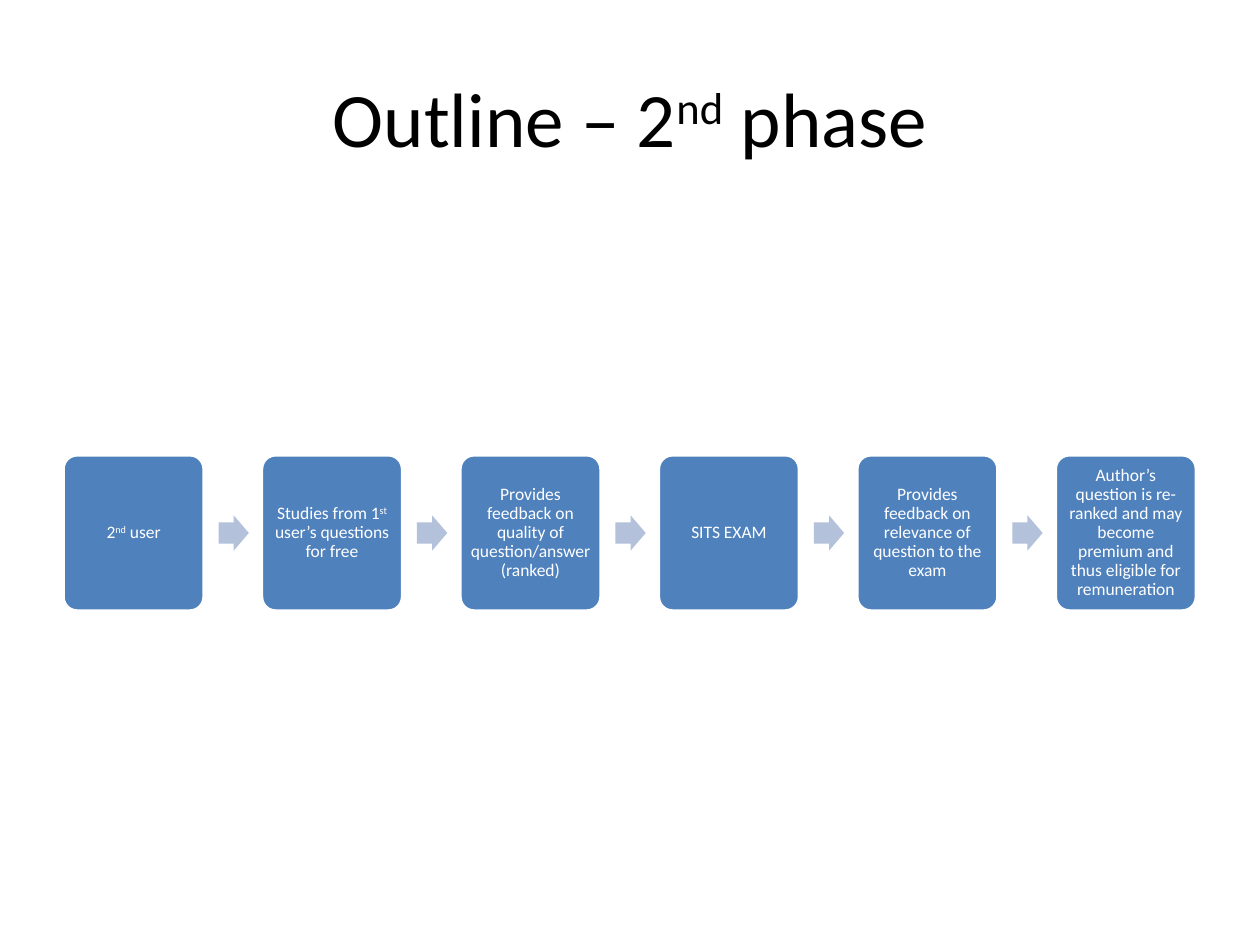
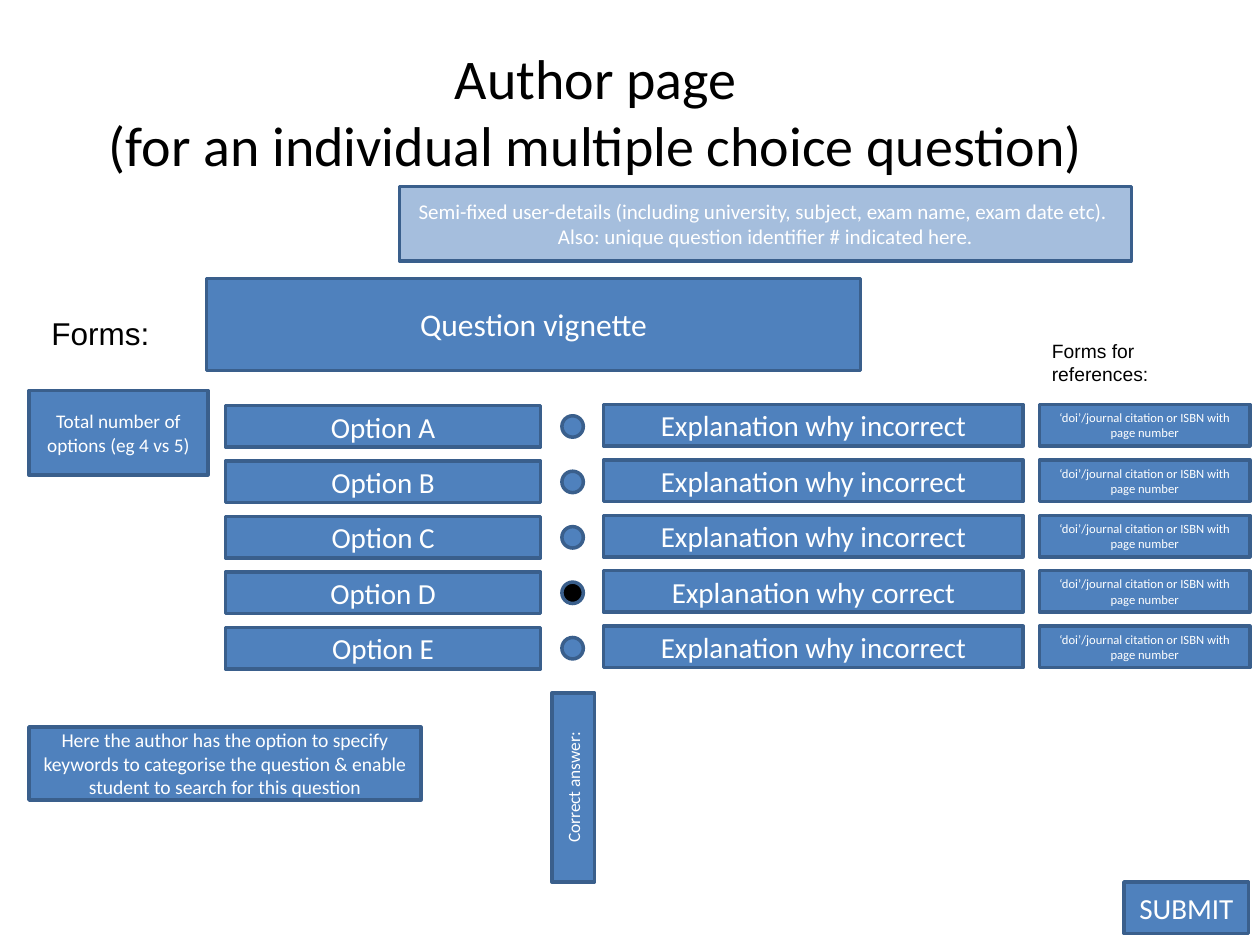
"""Builds two slides: a process outline and a mock-up of a question form."""
import pptx
import pptx.dml.color
import pptx.enum.shapes
import pptx.enum.text
import pptx.oxml
import pptx.oxml.ns
import pptx.util

Inches = pptx.util.Inches
Pt = pptx.util.Pt
SHAPE = pptx.enum.shapes.MSO_SHAPE
ALIGN = pptx.enum.text.PP_ALIGN
ANCHOR = pptx.enum.text.MSO_ANCHOR

BLUE, DARK_BLUE, PALE_BLUE = "4F81BD", "3A5F8C", "B3C1DB"
WHITE, BLACK = "FFFFFF", "000000"
FORM_SIZE = 16.6
ROW_TOP, ROW_PITCH, ROW_HEIGHT = 3.21, 0.44, 0.33

STEPS = [
    "2^nd^ user",
    "Studies from 1^st^ user’s questions for free",
    "Provides feedback on quality of question/answer (ranked)",
    "SITS EXAM",
    "Provides feedback on relevance of question to the exam",
    "Author’s question is re-ranked and may become premium and thus "
    "eligible for remuneration",
]


def rgb(hex_colour):
    """Turn a hex string into a colour."""
    return pptx.dml.color.RGBColor.from_string(hex_colour)


def write(tf, paragraphs, size, colour, align=ALIGN.CENTER, font="Calibri"):
    """Fill a text frame; text between carets is superscript."""
    tf.word_wrap = True
    for i, text in enumerate(paragraphs):
        p = tf.paragraphs[0] if i == 0 else tf.add_paragraph()
        p.alignment = align
        p.font.size = Pt(size)
        p.font.name = font
        p.font.color.rgb = rgb(colour)
        if "^" not in text:
            p.text = text
            continue
        for j, part in enumerate(text.split("^")):
            r = p.add_run()
            r.text = part
            if j % 2:
                r._r.get_or_add_rPr().set("baseline", "30000")


def add_title_slide(prs, title, box, size):
    """Add a slide with a centred title in the given box."""
    s = prs.slides.add_slide(prs.slide_layouts[5])
    sp = s.shapes.title
    sp.left, sp.top, sp.width, sp.height = map(Inches, box)
    write(sp.text_frame, [title], size, BLACK)
    sp.text_frame.vertical_anchor = ANCHOR.MIDDLE
    return s


def add_shape(s, kind, box, fill=BLUE, line=None):
    """Add a flat preset shape, with an outline if a line colour is given."""
    sp = s.shapes.add_shape(kind, *map(Inches, box))
    sp.shadow.inherit = False
    sp.fill.solid()
    sp.fill.fore_color.rgb = rgb(fill)
    if line:
        sp.line.color.rgb = rgb(line)
        sp.line.width = Pt(2)
    else:
        sp.line.fill.background()
    return sp


def add_field(s, box, paragraphs, size=FORM_SIZE):
    """Add an outlined form field with centred white text."""
    sp = add_shape(s, SHAPE.RECTANGLE, box, line=DARK_BLUE)
    write(sp.text_frame, paragraphs, size, WHITE)
    sp.text_frame.vertical_anchor = ANCHOR.MIDDLE
    return sp


def add_label(s, box, text, size):
    """Add a plain black label."""
    sp = s.shapes.add_textbox(*map(Inches, box))
    write(sp.text_frame, [text], size, BLACK, ALIGN.LEFT, "Arial")


def set_opacity(sp, percent):
    """Make a solid fill partly transparent."""
    colour = sp.fill._xPr.find(".//" + pptx.oxml.ns.qn("a:srgbClr"))
    alpha = pptx.oxml.parse_xml(
        "<a:alpha %s val='%d'/>" % (pptx.oxml.ns.nsdecls("a"), percent * 1000))
    colour.append(alpha)


def add_step(s, left, text):
    """Add one rounded step of the process."""
    sp = add_shape(s, SHAPE.ROUNDED_RECTANGLE, (left, 3.61, 1.12, 1.24), line=WHITE)
    sp.adjustments[0] = 0.1
    tf = sp.text_frame
    tf.margin_left = tf.margin_right = Inches(0.04)
    tf.margin_top = tf.margin_bottom = Inches(0.04)
    tf.vertical_anchor = ANCHOR.MIDDLE
    write(tf, [text], 10, WHITE)
    tf.paragraphs[0].line_spacing = 0.9


def add_step_arrow(s, left):
    """Add the arrow between two steps."""
    sp = add_shape(s, SHAPE.RIGHT_ARROW, (left, 4.09, 0.24, 0.28), PALE_BLUE)
    sp.adjustments[0], sp.adjustments[1] = 0.6, 0.5


def add_option_row(s, index, letter, correct):
    """Add an answer option, its radio button, explanation and reference."""
    top = ROW_TOP + index * ROW_PITCH
    add_field(s, (1.79, top + 0.01, 2.5, ROW_HEIGHT), ["Option " + letter])
    add_shape(s, SHAPE.OVAL, (4.46, top + 0.09, 0.17, 0.17),
              BLACK if correct else BLUE, DARK_BLUE)
    verdict = "correct" if correct else "incorrect"
    add_field(s, (4.79, top, 3.33, ROW_HEIGHT), ["Explanation why " + verdict])
    add_field(s, (8.25, top, 1.67, ROW_HEIGHT),
              ["‘doi’/journal citation or ISBN with page number"], 7.2)


def build_outline(prs):
    """Build the process slide."""
    s = add_title_slide(prs, "Outline – 2^nd^ phase", (0.5, 0.3, 9, 1.25), 44)
    pitch = 1.575
    for i, text in enumerate(STEPS):
        left = 0.5 + i * pitch
        if i:
            add_step_arrow(s, left - 0.34)
        add_step(s, left, text)


def build_author_page(prs):
    """Build the form slide."""
    s = add_title_slide(
        prs, "Author page\v(for an individual multiple choice question)",
        (0.48, 0.25, 8.5, 1.25), 32)
    details = add_field(s, (3.17, 1.48, 5.81, 0.59), [
        "Semi-fixed user-details (including university, subject, exam name, "
        "exam date etc). ",
        "Also: unique question identifier # indicated here."], 12)
    set_opacity(details, 51)
    add_field(s, (1.64, 2.21, 5.19, 0.73), ["Question vignette"], 18)
    add_label(s, (0.31, 2.44, 1.08, 0.4), "Forms:", 18)
    add_label(s, (8.25, 2.64, 1.66, 0.29), "Forms for references:", 11)
    add_field(s, (0.23, 3.1, 1.42, 0.67), ["Total number of options (eg 4 vs 5)"], 11)
    for i, letter in enumerate("ABCDE"):
        add_option_row(s, i, letter, letter == "D")
    answer = add_field(s, (4.38, 5.5, 0.34, 1.5), ["Correct answer:"], 9.9)
    answer.text_frame._txBody.bodyPr.set("vert", "vert270")
    add_field(s, (0.23, 5.77, 3.11, 0.58), [
        "Here the author has the option to specify keywords to categorise the "
        "question & enable student to search for this question"], 11.2)
    add_field(s, (8.92, 7, 0.99, 0.41), ["SUBMIT"])


def main():
    """Build and save the presentation."""
    prs = pptx.Presentation()
    prs.slide_width, prs.slide_height = Inches(10), Inches(7.5)
    build_outline(prs)
    build_author_page(prs)
    prs.save("out.pptx")


main()
